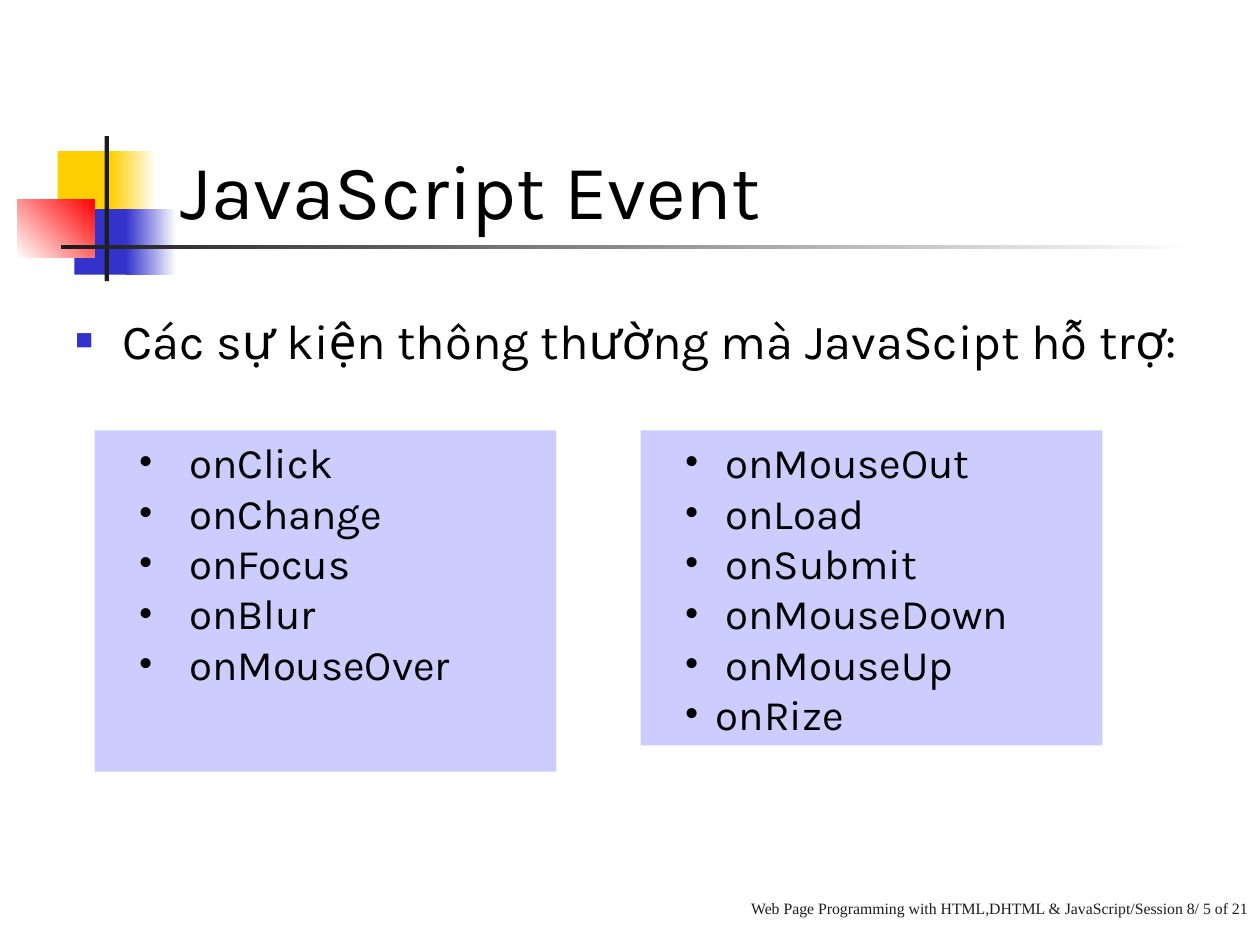
from lxml.etree import SubElement
from pptx import Presentation
from pptx.dml.color import RGBColor
from pptx.enum.shapes import MSO_SHAPE
from pptx.enum.text import MSO_ANCHOR, MSO_AUTO_SIZE, PP_ALIGN
from pptx.oxml.ns import qn
from pptx.util import Pt

YELLOW, BLUE, RED = "FFCF01", "3333CC", "FF0000"
WHITE, BLACK, DARK, LILAC = "FFFFFF", "000000", "1C1C1C", "CCCCFF"
BODY_FONT, SMALL_FONT = "Karla", "Times New Roman"

TITLE = "JavaScript Event"
INTRO = "Các sự kiện thông thường mà JavaScipt hỗ trợ:"
FOOTER = "Web Page Programming with HTML,DHTML & JavaScript/Session 8/ 5 of 21"

# left, top, width, height, colours, gradient angle
ORNAMENT = [
    (33, 86.4, 34.6, 37.4, [YELLOW], 0),
    (63.4, 86.4, 26, 37.4, [YELLOW, WHITE], 0),
    (42.5, 119.5, 33.1, 37.4, [BLUE], 0),
    (72, 119.5, 28.8, 37.4, [BLUE, WHITE], 0),
    (10, 113.8, 44, 33.2, [WHITE, RED], 45),
    (59.8, 77.8, 2.5, 82.8, [DARK], 0),
    (34.6, 140, 648, 2.5, [DARK, WHITE], 0),
]

# left, height, (event, text indent)
EVENT_BOXES = [
    (54, 195, [(event, 47) for event in
               ("onClick", "onChange", "onFocus", "onBlur", "onMouseOver")]),
    (366, 180, [(event, 41.5) for event in
                ("onMouseOut", "onLoad", "onSubmit", "onMouseDown", "onMouseUp")]
     + [("onRize", 36)]),
]
BOX_TOP, BOX_WIDTH, BULLET_INDENT = 246, 264, 18


def rgb(colour):
    return RGBColor.from_string(colour)


def add_panel(slide, left, top, width, height, colours, angle=0):
    """Add a borderless rectangle with a plain or two-colour gradient fill."""
    panel = slide.shapes.add_shape(
        MSO_SHAPE.RECTANGLE, Pt(left), Pt(top), Pt(width), Pt(height))
    panel.shadow.inherit = False
    panel.line.fill.background()
    if len(colours) == 1:
        panel.fill.solid()
        panel.fill.fore_color.rgb = rgb(colours[0])
    else:
        panel.fill.gradient()
        panel.fill.gradient_angle = angle
        for stop, colour in zip(panel.fill.gradient_stops, colours):
            stop.color.rgb = rgb(colour)
    return panel


def set_frame(frame, anchor):
    settings = {"word_wrap": True, "auto_size": MSO_AUTO_SIZE.NONE,
                "vertical_anchor": anchor}
    for name, value in settings.items():
        setattr(frame, name, value)


def write(paragraph, text, size, font=BODY_FONT, colour=BLACK, align=PP_ALIGN.LEFT):
    paragraph.alignment = align
    run = paragraph.add_run()
    run.text = text
    for name, value in {"size": Pt(size), "name": font}.items():
        setattr(run.font, name, value)
    run.font.color.rgb = rgb(colour)


def add_bullet(paragraph, char, colour, percent, text_indent, bullet_indent):
    properties = paragraph._p.get_or_add_pPr()
    properties.set("marL", str(Pt(text_indent)))
    properties.set("indent", str(Pt(bullet_indent) - Pt(text_indent)))
    bullet_colour = SubElement(properties, qn("a:buClr"))
    SubElement(bullet_colour, qn("a:srgbClr"), val=colour)
    SubElement(properties, qn("a:buSzPct"), val=str(percent * 1000))
    SubElement(properties, qn("a:buFont"), typeface=SMALL_FONT)
    SubElement(properties, qn("a:buChar"), char=char)


def add_text(slide, left, top, width, height, anchor):
    box = slide.shapes.add_textbox(Pt(left), Pt(top), Pt(width), Pt(height))
    set_frame(box.text_frame, anchor)
    return box.text_frame.paragraphs[0]


def main():
    deck = Presentation()
    deck.slide_width, deck.slide_height = Pt(720), Pt(540)
    slide = deck.slides.add_slide(deck.slide_layouts[5])

    for part in ORNAMENT:
        add_panel(slide, *part)

    title = slide.shapes.title
    place = {"left": 96, "top": 48, "width": 492, "height": 90}
    for name, value in place.items():
        setattr(title, name, Pt(value))
    set_frame(title.text_frame, MSO_ANCHOR.BOTTOM)
    write(title.text_frame.paragraphs[0], TITLE, 44)
    # The title stands in front of the ornament.
    slide.shapes._spTree.append(title._element)

    intro = add_text(slide, 36, 174, 672, 48, MSO_ANCHOR.TOP)
    write(intro, INTRO, 28, align=PP_ALIGN.JUSTIFY)
    intro.space_before = Pt(7)
    add_bullet(intro, "■", BLUE, 60, 27, 0)

    for left, height, events in EVENT_BOXES:
        box = add_panel(slide, left, BOX_TOP, BOX_WIDTH, height, [LILAC])
        frame = box.text_frame
        set_frame(frame, MSO_ANCHOR.TOP)
        for index, (event, text_indent) in enumerate(events):
            paragraph = frame.add_paragraph() if index else frame.paragraphs[0]
            write(paragraph, event, 24)
            add_bullet(paragraph, "•", BLACK, 100, text_indent, BULLET_INDENT)

    footer = add_text(slide, 402, 492, 318, 36, MSO_ANCHOR.BOTTOM)
    write(footer, FOOTER, 9, SMALL_FONT, DARK, PP_ALIGN.RIGHT)

    deck.save("out.pptx")


if __name__ == "__main__":
    main()
